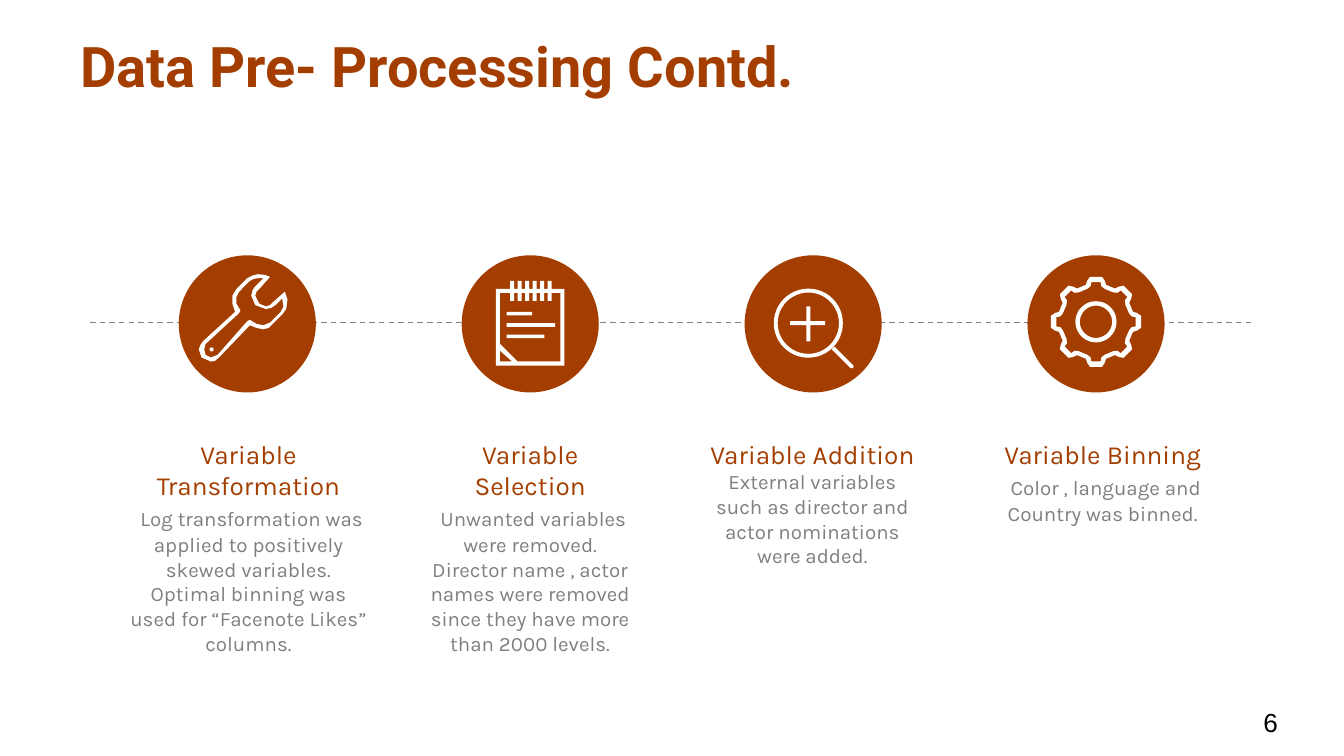
from math import cos, pi, sin

from lxml import etree
from pptx import Presentation
from pptx.dml.color import RGBColor
from pptx.enum.dml import MSO_LINE
from pptx.enum.shapes import MSO_CONNECTOR as CONN, MSO_SHAPE as SHAPE
from pptx.enum.text import MSO_ANCHOR as ANCHOR, PP_ALIGN as ALIGN
from pptx.oxml.ns import qn
from pptx.util import Inches, Pt

COLORS = {"rust": "A43E00", "gray": "7F7F7F", "white": "FFFFFF", "black": "000000"}


def rgb(name):
    return RGBColor.from_string(COLORS[name])


def circle(cx, cy, r, n=48):
    return [(cx + r * cos(2 * pi * i / n), cy + r * sin(2 * pi * i / n)) for i in range(n)]


def bar(x, y, w, h):
    return [(x, y), (x + w, y), (x + w, y + h), (x, y + h)]


def toothed(cx, cy, half_tooth, teeth=8):
    tooth = half_tooth + [(-x, y) for x, y in reversed(half_tooth)]
    turns = [2 * pi * i / teeth for i in range(teeth)]
    return [(cx + x * cos(a) - y * sin(a), cy + x * sin(a) + y * cos(a))
            for a in turns for x, y in tooth]


def ringed_edge(y, tip):
    xs = [381 + 5.6 * i for i in range(6)]
    return [pt for x in xs for pt in
            [(x - 1.5, y), (x - 1.5, tip), (x + 1.5, tip), (x + 1.5, y)]]


def wrench():
    outer = [(212, 217), (203, 225), (201, 227), (198, 228), (193, 226), (190, 220),
             (191, 217), (193, 215), (201, 206), (197, 204.5), (192, 204), (188, 205),
             (184, 207), (176, 215), (173, 220), (173, 226), (175, 232), (151, 254),
             (149, 257), (148, 260), (150, 266), (157, 269), (160, 268.5), (163, 266),
             (186, 242), (191, 244), (196, 245), (200, 244), (202, 242), (210, 234),
             (213, 230), (214, 223)]
    inner = [(210, 222), (205, 227), (202, 229), (198, 230), (190, 227), (187, 220),
             (188, 216), (190, 213), (196, 207), (192, 207), (189, 207.5), (186, 209),
             (178, 217), (176, 221), (176, 226), (179, 231), (178, 233), (153, 256),
             (152, 260), (153, 264), (157, 266), (162, 264), (184, 239), (186, 238),
             (191, 241), (196, 242), (201, 240), (209, 232), (211, 228)]
    return [outer, inner, circle(157.5, 260, 1.5)]


def notepad():
    page = [(369, 215)] + ringed_edge(215, 209) + [(420, 215), (420, 272), (369, 272)]
    paper = ([(372, 218)] + ringed_edge(218, 224)
             + [(417, 218), (417, 269), (385, 269), (372, 256)])
    fold = [(372, 269), (372, 261), (381, 269)]
    lines = [bar(377, y, w, 2.7) for y, w in [(232, 19), (240.5, 36), (249, 28)]]
    return [page, paper, fold, *lines]


def magnifier():
    plus = [(614, 239), (603, 239), (603, 228), (600, 228), (600, 239), (588, 239),
            (588, 242), (600, 242), (600, 254), (603, 254), (603, 242), (614, 242)]
    handle = [(619, 260), (633, 274), (635, 274), (635, 272), (621, 258)]
    return [circle(601.5, 240.5, 25.7), circle(601.5, 240.5, 22.8), plus, handle]


def gear():
    cx, cy = 815.5, 239.5
    return [toothed(cx, cy, [(-7.5, -27.5), (-6.5, -30.5), (-4.5, -33.5)]),
            toothed(cx, cy, [(-6.5, -24.5), (-4, -26.5), (-3.5, -29.5)]),
            circle(cx, cy, 15.3), circle(cx, cy, 12)]


class Deck:
    def __init__(self):
        self.prs = Presentation()
        self.prs.slide_width = Inches(10)
        self.prs.slide_height = Inches(10 * 9 / 16)
        self.s = self.prs.slides.add_slide(self.prs.slide_layouts[6])

    def paint(self, sp, color):
        sp.shadow.inherit = False
        sp.fill.solid()
        sp.fill.fore_color.rgb = rgb(color)
        sp.line.fill.background()

    def dashed_line(self, x1, x2, y):
        c = self.s.shapes.add_connector(CONN.STRAIGHT, Inches(x1), Inches(y),
                                        Inches(x2), Inches(y))
        c.line.color.rgb = rgb("gray")
        c.line.width = Pt(0.75)
        c.line.dash_style = MSO_LINE.DASH
        etree.SubElement(c._element.spPr, qn("a:effectLst"))

    def disc(self, x, y, d):
        sp = self.s.shapes.add_shape(SHAPE.OVAL, Inches(x), Inches(y), Inches(d), Inches(d))
        self.paint(sp, "rust")

    def icon(self, contours):
        paths = [[(Inches(x / 100), Inches(y / 100)) for x, y in c] for c in contours]
        fb = self.s.shapes.build_freeform(*paths[0][0])
        for i, pts in enumerate(paths):
            if i:
                fb.move_to(*pts[0])
            fb.add_line_segments(pts[1:], close=True)
        self.paint(fb.convert_to_shape(), "white")

    def text(self, box, paragraphs, font, align=ALIGN.LEFT, anchor=ANCHOR.TOP,
             insets=(0.1, 0.05, 0.1, 0.05), bold=False):
        tf = self.s.shapes.add_textbox(*map(Inches, box)).text_frame
        tf.word_wrap = True
        tf.vertical_anchor = anchor
        (tf.margin_left, tf.margin_top,
         tf.margin_right, tf.margin_bottom) = map(Inches, insets)
        for i, runs in enumerate(paragraphs):
            p = tf.add_paragraph() if i else tf.paragraphs[0]
            p.alignment = align
            for words, size, color in runs:
                r = p.add_run()
                r.text = words
                r.font.name = font
                r.font.size = Pt(size)
                r.font.bold = bold
                r.font.color.rgb = rgb(color)

    def step(self, box, heading, body, lead=True):
        paragraphs = [[(heading, 14, "rust")]] + [[(t, 11, "gray")] for t in body]
        if lead:
            paragraphs[1].insert(0, (" ", 14, "gray"))
        self.text(box, paragraphs, "Karla", ALIGN.CENTER)


def main():
    deck = Deck()
    deck.dashed_line(0.67, 9.33, 2.4)
    for i in range(4):
        deck.disc(1.33 + 2.105 * i, 1.9, 1.02)
    deck.step((0.87, 3.21, 1.96, 1.66), "Variable Transformation",
              ["Log transformation was applied to positively skewed variables.",
               "Optimal binning was used for “Facenote Likes” columns."])
    deck.step((3.07, 3.21, 1.75, 1.66), "Variable Selection",
              ["Unwanted variables were removed.",
               "Director name , actor names were removed since they have more "
               "than 2000 levels."])
    deck.step((5.17, 3.21, 1.75, 1.5), "Variable Addition",
              ["External variables such as director and actor nominations were added."],
              lead=False)
    deck.step((7.33, 3.21, 1.75, 0.94), "Variable Binning",
              ["Color , language and Country was binned."])
    for contours in (wrench(), notepad(), magnifier(), gear()):
        deck.icon(contours)
    deck.text((9.33, 5.22, 0.17, 0.3), [[("6", 14, "black")]], "Arial",
              anchor=ANCHOR.MIDDLE, insets=(0.07, 0.05, 0, 0.05))
    deck.text((0.5, 0.15, 9, 0.67), [[("Data Pre- Processing Contd.", 30, "rust")]],
              "Roboto", anchor=ANCHOR.MIDDLE, insets=(0.1, 0.1, 0.1, 0.1), bold=True)
    deck.prs.save("out.pptx")


if __name__ == "__main__":
    main()
